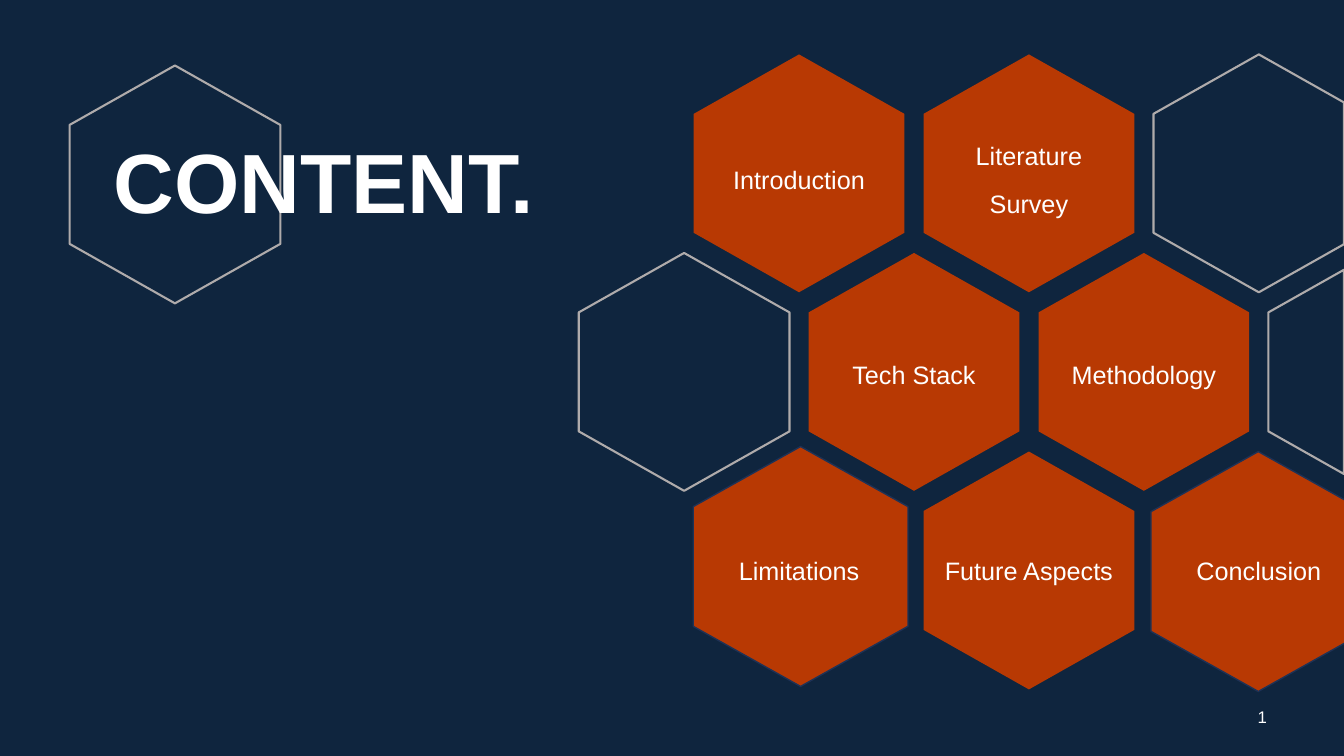
from itertools import pairwise

from lxml import etree
from pptx import Presentation
from pptx import util as u
from pptx.dml.color import RGBColor
from pptx.enum import shapes, text
from pptx.oxml.ns import qn

NAVY = RGBColor(0x0F, 0x25, 0x3E)
ORANGE = RGBColor(0xB8, 0x39, 0x03)
EDGE = RGBColor(0x1E, 0x32, 0x56)
GREY = RGBColor(0xAF, 0xAB, 0xAB)
WHITE = RGBColor(0xFF, 0xFF, 0xFF)

WIDTH, HEIGHT = 13.33, 7.5
LEFT, TOP = 5.74, 0.54
COLUMN, ROW = 1.14, 1.97
CELL_WIDTH, CELL_HEIGHT = 2.09, 2.36
LABEL_TOP, LABEL_ROW, LABEL_HEIGHT = 1.17, 1.94, 1.18

FILLED_CELLS = [(1, 0), (3, 0), (2, 1), (3, 2), (4, 1)]
OUTLINED_CELLS = [(5, 0), (6, 1), (0, 1)]
EDGED_CENTRES = [(7.94, 5.62), (12.48, 5.67)]
LABELS = [
    (1, 0, ["Introduction"]),
    (3, 0, ["Literature", "Survey"]),
    (4, 1, ["Methodology"]),
    (2, 1, ["Tech Stack"]),
    (1, 2, ["Limitations"]),
    (5, 2, ["Conclusion"]),
    (3, 2, ["Future Aspects"]),
]


def clip_right(points, limit):
    kept = []
    for (x1, y1), (x2, y2) in pairwise(points + points[:1]):
        if x1 <= limit:
            kept.append((x1, y1))
        if (x1 <= limit) != (x2 <= limit):
            kept.append((limit, y1 + (y2 - y1) * (limit - x1) / (x2 - x1)))
    return kept


def paint(shape, fill=None, line=None, weight=1.5):
    shape.shadow.inherit = False
    if fill is None:
        shape.fill.background()
    else:
        shape.fill.solid()
        shape.fill.fore_color.rgb = fill
    if line is None:
        shape.line.fill.background()
    else:
        shape.line.color.rgb = line
        shape.line.width = u.Pt(weight)


def add_hexagon(page, left, top, **colours):
    middle, right = left + CELL_WIDTH / 2, left + CELL_WIDTH
    shoulder, hip = top + CELL_HEIGHT / 4, top + CELL_HEIGHT * 3 / 4
    corners = [(middle, top), (right, shoulder), (right, hip),
               (middle, top + CELL_HEIGHT), (left, hip), (left, shoulder)]
    points = [(u.Inches(x), u.Inches(y)) for x, y in clip_right(corners, WIDTH)]
    builder = page.shapes.build_freeform(*points[0])
    builder.add_line_segments(points[1:], close=True)
    paint(builder.convert_to_shape(), **colours)


def add_edged_hexagon(page, centre_x, centre_y):
    width, height = 2.38, 2.13
    hexagon = page.shapes.add_shape(
        shapes.MSO_SHAPE.HEXAGON, u.Inches(centre_x - width / 2),
        u.Inches(centre_y - height / 2), u.Inches(width), u.Inches(height))
    hexagon.adjustments[0] = 0.28
    hexagon.rotation = 90
    paint(hexagon, ORANGE, EDGE, 1)


def style(para, size):
    para.font.name = "Arial"
    para.font.size = u.Pt(size)
    para.font.color.rgb = WHITE


def add_text_box(page, left, top, width, height):
    box = page.shapes.add_textbox(*map(u.Inches, (left, top, width, height)))
    frame = box.text_frame
    frame.word_wrap = True
    frame.vertical_anchor = text.MSO_ANCHOR.MIDDLE
    return frame


def add_label(page, column, row, lines):
    frame = add_text_box(page, LEFT + column * COLUMN, LABEL_TOP + row * LABEL_ROW,
                         CELL_WIDTH, LABEL_HEIGHT)
    frame.text = "\n".join(lines)
    for para in frame.paragraphs:
        para.alignment = text.PP_ALIGN.CENTER
        para.line_spacing = 1.13
        para.space_before = u.Pt(10)
        style(para, 18)
    if len(lines) > 1:
        para.space_after = u.Pt(6)


def add_honeycomb(page):
    for column, row in FILLED_CELLS:
        add_hexagon(page, LEFT + column * COLUMN, TOP + row * ROW, fill=ORANGE)
    for column, row in OUTLINED_CELLS:
        add_hexagon(page, LEFT + column * COLUMN, TOP + row * ROW, line=GREY)
    for centre in EDGED_CENTRES:
        add_edged_hexagon(page, *centre)
    for label in LABELS:
        add_label(page, *label)


def add_title(page, left, top, width, height):
    add_hexagon(page, left - 0.34, top - 0.25, line=GREY)
    title = page.shapes.title
    page.shapes._spTree.append(title._element)
    title.left, title.top, title.width, title.height = map(
        u.Inches, (left, top, width, height))
    frame = title.text_frame
    frame.text = "CONTENT."
    frame.auto_size = text.MSO_AUTO_SIZE.NONE
    frame.vertical_anchor = text.MSO_ANCHOR.MIDDLE
    para = frame.paragraphs[0]
    para.alignment = text.PP_ALIGN.LEFT
    para.line_spacing = 0.9
    para.font.bold = True
    style(para, 60)


def add_page_number(page, left, top, width, height):
    para = add_text_box(page, left, top, width, height).paragraphs[0]
    para.alignment = text.PP_ALIGN.CENTER
    span = para.add_run()
    span.text = "1"
    span.font.name = "Arial"
    span.font.size = u.Pt(12)
    span.font.color.rgb = WHITE
    field = etree.Element(qn("a:fld"), type="slidenum",
                          id="{B6F15528-21DE-4FAA-801E-634DDDAF4B2B}")
    field.extend(list(span._r))
    para._p.replace(span._r, field)


def main():
    deck = Presentation()
    deck.slide_width, deck.slide_height = u.Inches(WIDTH), u.Inches(HEIGHT)
    page = deck.slides.add_slide(deck.slide_layouts[5])
    page.background.fill.solid()
    page.background.fill.fore_color.rgb = NAVY
    add_title(page, 1.03, 0.9, 4.65, 1.9)
    add_honeycomb(page)
    add_page_number(page, 12.27, 6.91, 0.5, 0.4)
    deck.save("out.pptx")


if __name__ == "__main__":
    main()
